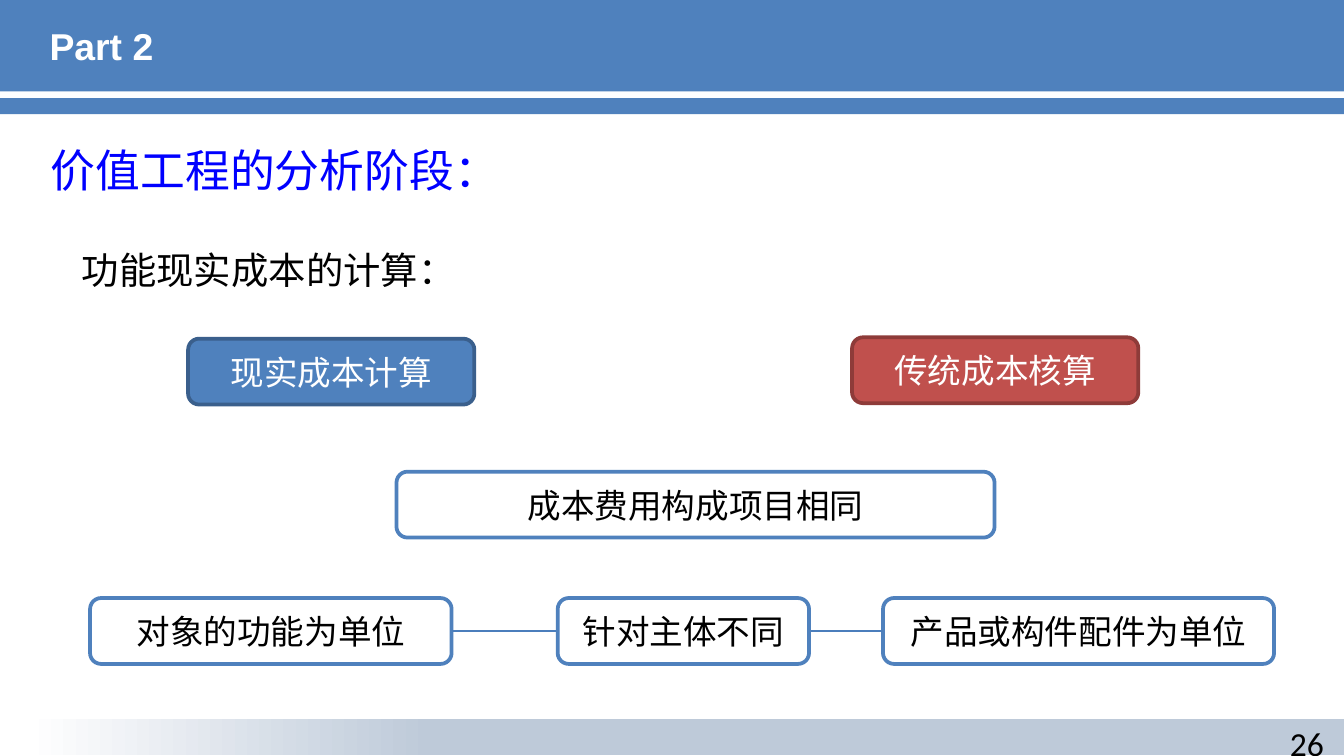
from dataclasses import dataclass

from lxml import etree
from pptx import Presentation
from pptx.dml.color import RGBColor
from pptx.enum.shapes import MSO_CONNECTOR, MSO_SHAPE
from pptx.enum.text import MSO_ANCHOR, PP_ALIGN
from pptx.oxml.ns import qn
from pptx.util import Inches, Pt

RECT, ROUNDED = MSO_SHAPE.RECTANGLE, MSO_SHAPE.ROUNDED_RECTANGLE
STRAIGHT = MSO_CONNECTOR.STRAIGHT
TOP, MIDDLE = MSO_ANCHOR.TOP, MSO_ANCHOR.MIDDLE
LEFT, CENTER, RIGHT = PP_ALIGN.LEFT, PP_ALIGN.CENTER, PP_ALIGN.RIGHT

COLORS = {
    "blue": "4F81BD",
    "blue_edge": "3A5F8C",
    "red": "C0504D",
    "red_edge": "8E3B39",
    "link": "4B7EBC",
    "heading": "0000FF",
    "footer": "BECAD9",
    "white": "FFFFFF",
    "black": "000000",
}
CJK = "Noto Sans CJK SC"
BOX_HEIGHT = 0.49
ROW_TOP = 4.45


@dataclass
class Box:
    text: str
    left: float
    top: float
    width: float
    fill: str = "white"
    edge: str = "blue"
    color: str = "black"


HEADERS = [
    Box("现实成本计算", 1.4, 2.52, 2.13, "blue", "blue_edge", "white"),
    Box("传统成本核算", 6.34, 2.51, 2.13, "red", "red_edge", "white"),
]
SAME_ITEMS = Box("成本费用构成项目相同", 2.95, 3.51, 4.45)
FUNCTION_UNIT = Box("对象的功能为单位", 0.67, ROW_TOP, 2.69)
PRODUCT_UNIT = Box("产品或构件配件为单位", 6.57, ROW_TOP, 2.91)
DIFFERENT_SUBJECT = Box("针对主体不同", 4.15, ROW_TOP, 1.87)


def rgb(name: str) -> RGBColor:
    return RGBColor.from_string(COLORS[name])


def write(sp, text: str, *, size: int = 18, font: str = CJK, color: str = "black",
          bold: bool = False, align=LEFT, anchor=TOP, wrap: bool = True) -> None:
    tf = sp.text_frame
    tf.word_wrap = wrap
    tf.vertical_anchor = anchor
    p = tf.paragraphs[0]
    p.alignment = align
    r = p.add_run()
    r.text = text
    r.font.size = Pt(size)
    r.font.bold = bold
    r.font.color.rgb = rgb(color)
    r.font.name = font
    etree.SubElement(r._r.get_or_add_rPr(), qn("a:ea")).set("typeface", font)


def add_text(s, text: str, left: float, top: float, width: float, height: float,
             **fmt) -> None:
    sp = s.shapes.add_textbox(Inches(left), Inches(top), Inches(width), Inches(height))
    write(sp, text, **fmt)


def add_band(s, top: float, height: float):
    sp = s.shapes.add_shape(RECT, 0, Inches(top), Inches(10), Inches(height))
    sp.shadow.inherit = False
    sp.fill.solid()
    sp.fill.fore_color.rgb = rgb("blue")
    sp.line.fill.background()
    return sp


def add_footer(s) -> None:
    fill = add_band(s, 5.35, 0.27).fill
    fill.gradient()
    fill.gradient_angle = 0
    stops = zip(fill.gradient_stops, ("white", "footer"), (0.02, 0.32))
    for stop, color, position in stops:
        stop.color.rgb = rgb(color)
        stop.position = position


def add_box(s, box: Box):
    sp = s.shapes.add_shape(ROUNDED, Inches(box.left), Inches(box.top),
                            Inches(box.width), Inches(BOX_HEIGHT))
    sp.shadow.inherit = False
    sp.fill.solid()
    sp.fill.fore_color.rgb = rgb(box.fill)
    sp.line.color.rgb = rgb(box.edge)
    sp.line.width = Pt(2)
    write(sp, box.text, color=box.color, align=CENTER, anchor=MIDDLE)
    return sp


def add_link(s, start, end) -> None:
    link = s.shapes.add_connector(STRAIGHT, 0, 0, 0, 0)
    link.begin_connect(start, 3)
    link.end_connect(end, 1)
    link.line.color.rgb = rgb("link")
    link.line.width = Pt(0.75)
    etree.SubElement(link._element.spPr, qn("a:effectLst"))


def main() -> None:
    prs = Presentation()
    prs.slide_width = Inches(10)
    prs.slide_height = prs.slide_width * 9 // 16
    s = prs.slides.add_slide(prs.slide_layouts[6])

    add_band(s, -0.01, 0.69)
    add_band(s, 0.73, 0.12)
    add_footer(s)
    add_text(s, "Part 2", 0.27, 0.02, 9.45, 0.64, size=20, font="Arial",
             color="white", bold=True, anchor=MIDDLE)
    add_text(s, "26", 7.62, 5.33, 2.33, 0.3, font="Calibri", align=RIGHT)
    add_text(s, "价值工程的分析阶段：", 0.28, 1.01, 5.75, 0.5, size=24, color="heading")
    add_text(s, "功能现实成本的计算：", 0.51, 1.79, 3.01, 0.44, size=20, wrap=False)

    for box in [*HEADERS, SAME_ITEMS]:
        add_box(s, box)
    add_link(s, add_box(s, FUNCTION_UNIT), add_box(s, PRODUCT_UNIT))
    add_box(s, DIFFERENT_SUBJECT)

    prs.save("out.pptx")


if __name__ == "__main__":
    main()
